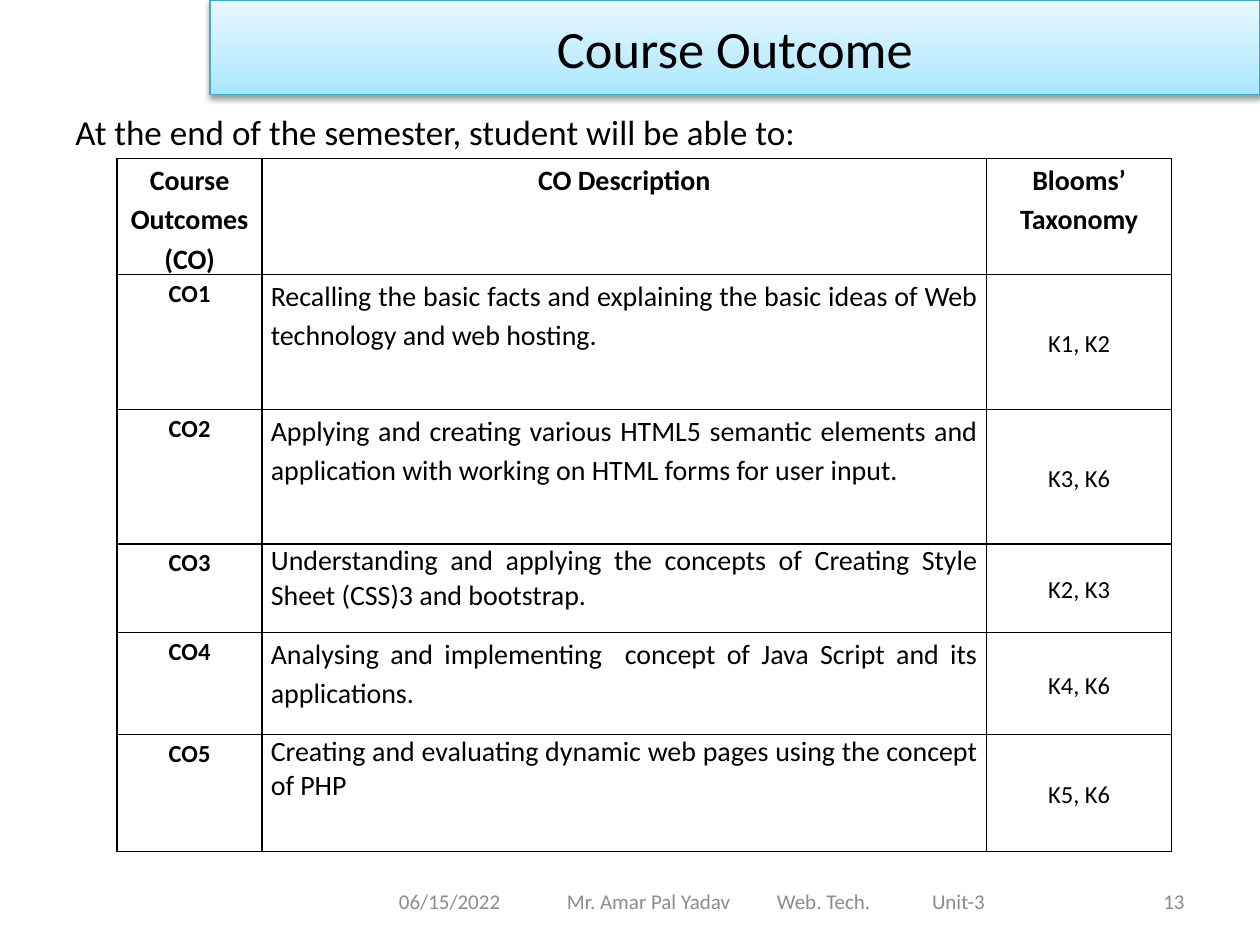
"""Build the Course Outcome slide with its table of outcomes and taxonomy levels."""
from lxml import etree
from pptx import Presentation
from pptx.dml.color import RGBColor
from pptx.enum.text import MSO_ANCHOR, PP_ALIGN
from pptx.oxml import parse_xml
from pptx.util import Pt

LEFT, CENTER, RIGHT, JUSTIFY = PP_ALIGN.LEFT, PP_ALIGN.CENTER, PP_ALIGN.RIGHT, PP_ALIGN.JUSTIFY
TOP, MIDDLE = MSO_ANCHOR.TOP, MSO_ANCHOR.MIDDLE
NS = "http://schemas.openxmlformats.org/drawingml/2006/main"
FONT = "Calibri"
COLORS = {"text": "000000", "footer": "8C8C8C", "border": "000000", "banner_line": "46AAC5"}
BANNER_STOPS = [(0, "A7E6FF"), (35, "C1EDFF"), (100, "E7F8FF")]

TITLE = "Course Outcome"
INTRO = "At the end of the semester, student will be able to:"
HEADINGS = ["Course Outcomes (CO)", "CO Description", "Blooms’ Taxonomy"]
WIDE, SINGLE = {"line_spacing": 1.15}, {"space_before": Pt(3.6)}
OUTCOMES = [
    ("Recalling the basic facts and explaining the basic ideas of Web technology and web hosting.",
     "K1, K2", WIDE),
    ("Applying and creating various HTML5 semantic elements and application with working on "
     "HTML forms for user input.", "K3, K6", WIDE),
    ("Understanding and applying the concepts of Creating Style Sheet (CSS)3 and bootstrap.",
     "K2, K3", SINGLE),
    ("Analysing and implementing  concept of Java Script and its applications.", "K4, K6", WIDE),
    ("Creating and evaluating dynamic web pages using the concept of PHP", "K5, K6", SINGLE),
]
FOOTER = ["06/15/2022", "Mr. Amar Pal Yadav", "Web. Tech.", "Unit-3"]
FOOTER_TABS = [96, 216, 304.6]
PAGE = "13"

COLUMN_WIDTHS = [82.8, 414, 105.84]
ROW_HEIGHTS = [66.24, 77.04, 77.04, 50.4, 58.32, 66.96]


def set_all(target, values):
    for attribute, value in values.items():
        setattr(target, attribute, value)


def write(frame, text, size, color="text", bold=False, **paragraph_format):
    paragraph = frame.paragraphs[0]
    set_all(paragraph, paragraph_format)
    run = paragraph.add_run()
    run.text = text
    set_all(run.font, {"name": FONT, "size": Pt(size), "bold": bold})
    run.font.color.rgb = RGBColor.from_string(COLORS[color])
    return paragraph


def add_text(slide, box, text, size, color="text", align=LEFT, inset=7.2):
    frame = slide.shapes.add_textbox(*map(Pt, box)).text_frame
    set_all(frame, {"word_wrap": True, "vertical_anchor": MIDDLE, "margin_left": Pt(inset)})
    return write(frame, text, size, color, alignment=align)


def color_xml(color):
    return f'<a:solidFill><a:srgbClr val="{color}"/></a:solidFill>'


def add_banner(slide):
    title = slide.shapes.title
    set_all(title, {"left": Pt(120), "top": Pt(0), "width": Pt(600), "height": Pt(54)})
    stops = "".join(f'<a:gs pos="{place * 1000}"><a:srgbClr val="{color}"/></a:gs>'
                    for place, color in BANNER_STOPS)
    look = etree.fromstring(
        f'<a:look xmlns:a="{NS}"><a:prstGeom prst="rect"><a:avLst/></a:prstGeom>'
        f'<a:gradFill rotWithShape="1"><a:gsLst>{stops}</a:gsLst>'
        f'<a:lin ang="16200000" scaled="1"/></a:gradFill>'
        f'<a:ln w="{Pt(0.75)}">{color_xml(COLORS["banner_line"])}</a:ln>'
        f'<a:effectLst><a:outerShdw blurRad="{Pt(3.1)}" dist="{Pt(1.6)}" dir="5400000" '
        f'rotWithShape="0"><a:srgbClr val="000000"><a:alpha val="38000"/></a:srgbClr>'
        f'</a:outerShdw></a:effectLst></a:look>')
    for part in look:
        title._element.spPr.append(parse_xml(etree.tostring(part)))
    title.text_frame.vertical_anchor = MIDDLE
    write(title.text_frame, TITLE, 30, alignment=CENTER)


def fill_cell(cell, text, size, bold=False, anchor=TOP, inset=5.04, **paragraph_format):
    set_all(cell, {"margin_left": Pt(inset), "margin_right": Pt(inset), "margin_top": 0,
                   "margin_bottom": 0, "vertical_anchor": anchor})
    cell.fill.background()
    properties = cell._tc.get_or_add_tcPr()
    for index, side in enumerate("LRTB"):
        properties.insert(index, parse_xml(
            f'<a:ln{side} xmlns:a="{NS}" w="{Pt(1)}">{color_xml(COLORS["border"])}</a:ln{side}>'))
    write(cell.text_frame, text, size, bold=bold, **paragraph_format)


def add_outcomes(slide):
    table = slide.shapes.add_table(len(ROW_HEIGHTS), len(COLUMN_WIDTHS), Pt(66.96), Pt(90.72),
                                   Pt(sum(COLUMN_WIDTHS)), Pt(sum(ROW_HEIGHTS))).table
    set_all(table, {"first_row": False, "horz_banding": False})
    for column, width in zip(table.columns, COLUMN_WIDTHS):
        column.width = Pt(width)
    for row, height in zip(table.rows, ROW_HEIGHTS):
        row.height = Pt(height)
    for index, heading in enumerate(HEADINGS):
        fill_cell(table.cell(0, index), heading, 16, bold=True, alignment=CENTER, **WIDE)
    for number, (description, levels, spacing) in enumerate(OUTCOMES, 1):
        code_cell, description_cell, level_cell = table.rows[number].cells
        fill_cell(code_cell, f"CO{number}", 14, bold=True, alignment=CENTER, **WIDE)
        fill_cell(description_cell, description, 16, alignment=JUSTIFY, **spacing)
        fill_cell(level_cell, levels, 14, anchor=MIDDLE, inset=5.4, alignment=CENTER,
                  space_after=Pt(10), **WIDE)


def add_footer(slide):
    add_text(slide, (516, 500.5, 168, 28.75), PAGE, 12, "footer", RIGHT)
    footer = add_text(slide, (198, 500.5, 396, 28.75), "\t".join(FOOTER), 12, "footer", inset=30)
    tabs = "".join(f'<a:tab pos="{Pt(place)}" algn="l"/>' for place in FOOTER_TABS)
    footer._p.get_or_add_pPr().append(parse_xml(f'<a:tabLst xmlns:a="{NS}">{tabs}</a:tabLst>'))


def main():
    deck = Presentation()
    set_all(deck, {"slide_width": Pt(720), "slide_height": Pt(540)})
    slide = deck.slides.add_slide(deck.slide_layouts[5])
    add_banner(slide)
    add_text(slide, (36, 59.04, 684, 31.68), INTRO, 20)
    add_outcomes(slide)
    add_footer(slide)
    deck.save("out.pptx")


if __name__ == "__main__":
    main()
